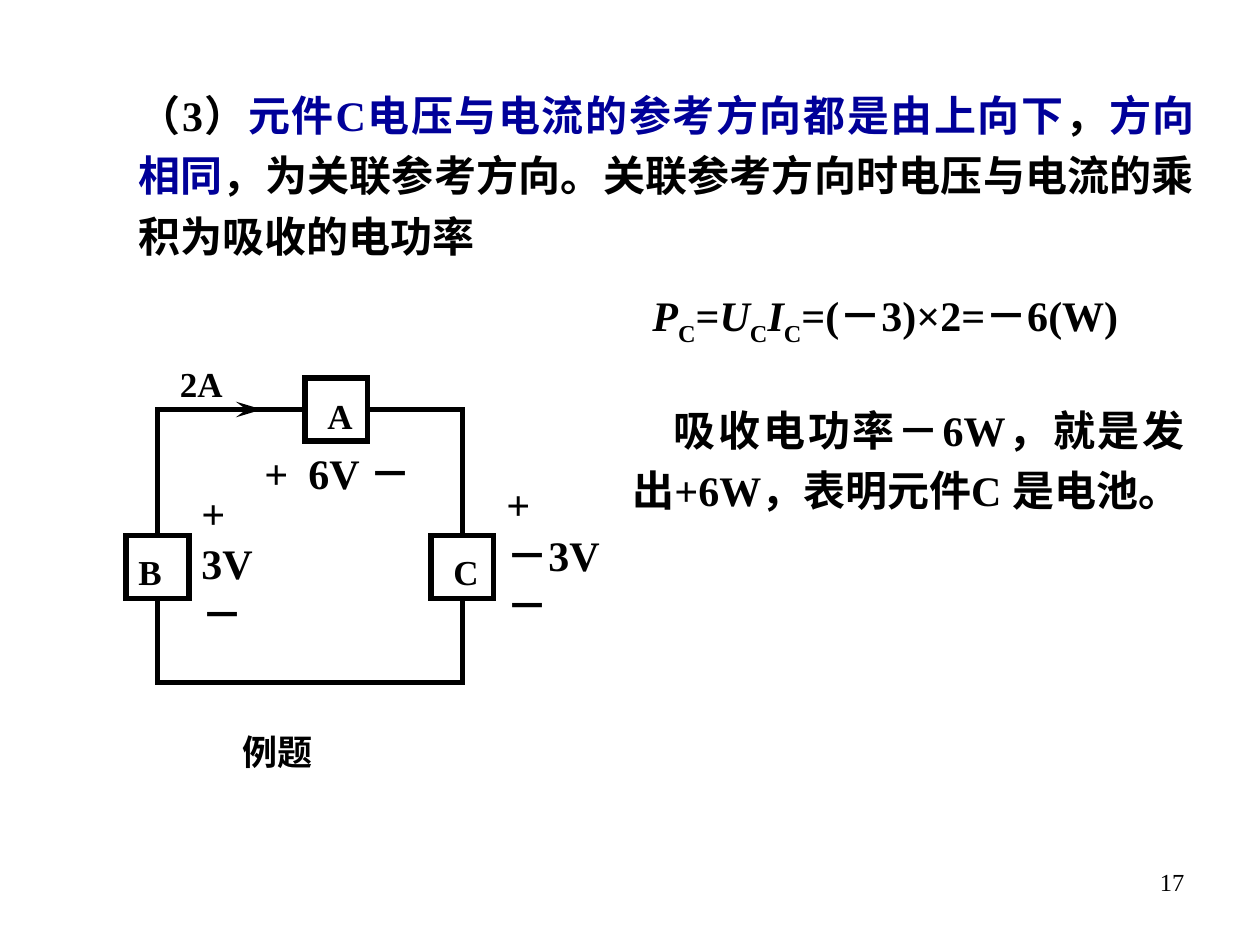
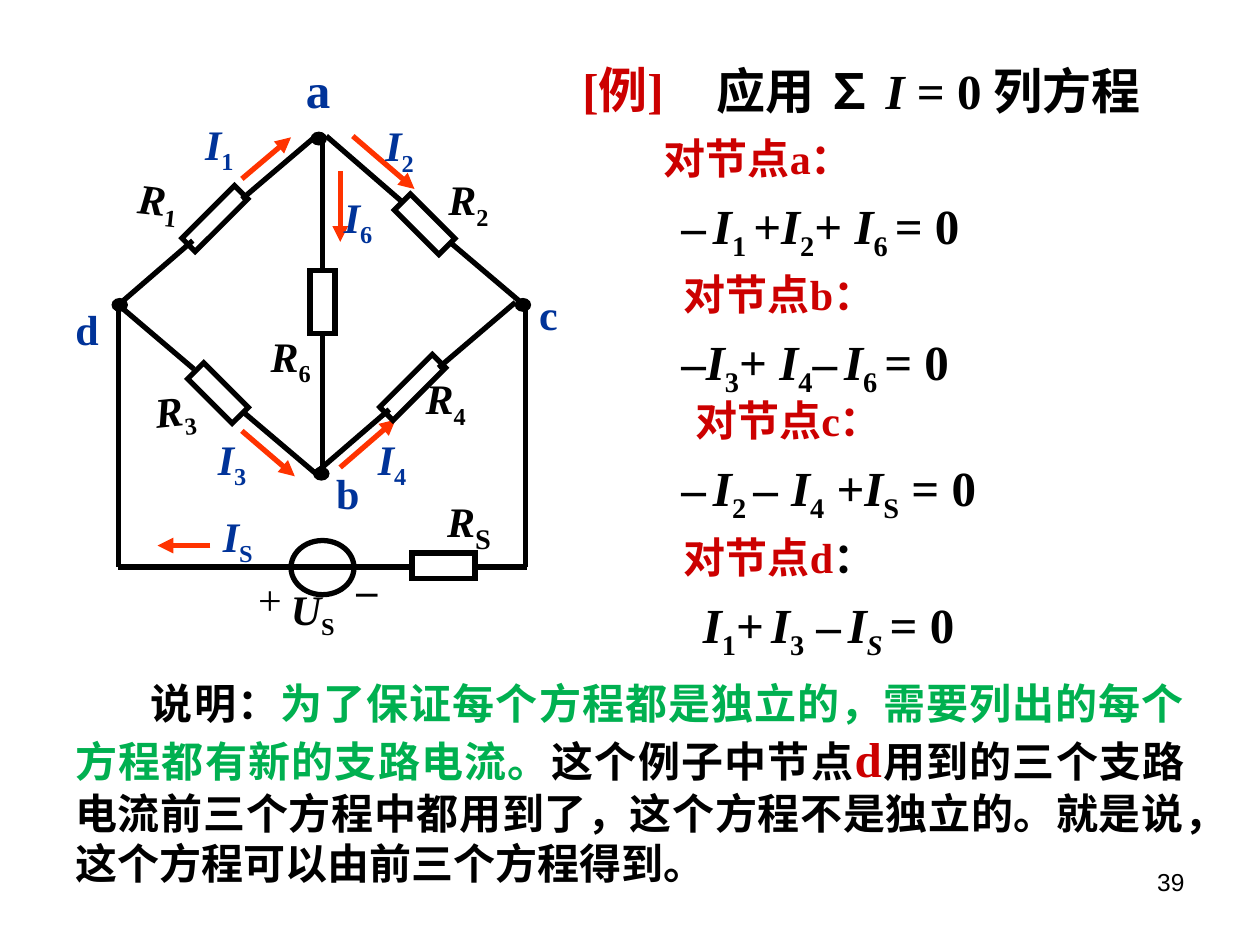
"""Build two lecture slides on circuit power and Kirchhoff's current law."""
from dataclasses import dataclass
from typing import NamedTuple

from lxml import etree
from pptx import Presentation
from pptx.dml.color import RGBColor
from pptx.enum.shapes import MSO_CONNECTOR, MSO_SHAPE
from pptx.enum.text import MSO_ANCHOR, MSO_AUTO_SIZE, PP_ALIGN
from pptx.oxml.ns import qn
from pptx.util import Inches, Pt

STRAIGHT = MSO_CONNECTOR.STRAIGHT
RECTANGLE, OVAL = MSO_SHAPE.RECTANGLE, MSO_SHAPE.OVAL
LEFT, CENTER, RIGHT, JUSTIFY = (
    PP_ALIGN.LEFT, PP_ALIGN.CENTER, PP_ALIGN.RIGHT, PP_ALIGN.JUSTIFY)
MIDDLE = MSO_ANCHOR.MIDDLE
GROW, FIXED = MSO_AUTO_SIZE.SHAPE_TO_FIT_TEXT, MSO_AUTO_SIZE.NONE

COLORS = {
    "black": "000000", "white": "FFFFFF", "navy": "000099", "blue": "003399",
    "red": "CC0000", "green": "00B050", "orange": "FF3300",
}
SERIF = "Times New Roman"
LARGE = 28
LINE_WIDTH = 3
BOX_SIDE = 0.5
DOT_WIDTH, DOT_HEIGHT = 0.12, 0.1


class Span(NamedTuple):
    """A stretch of text with one format."""
    text: str
    color: str
    italic: bool
    subscript: bool
    large: bool


@dataclass(frozen=True)
class Label:
    """A text box; spans are split by | and marked * italic, _ subscript, ^ large, @name: colour."""
    markup: str
    left: float
    top: float
    width: float
    height: float
    size: int = 24
    color: str = "black"
    bold: bool = True
    font: str = SERIF
    align: PP_ALIGN = LEFT
    wrap: bool = True
    grow: bool = True
    middle: bool = False
    spacing: float = 1.0
    indent: float = 0
    tab: float = 0
    rotation: float = 0


class Wire(NamedTuple):
    """A straight line, with an arrowhead at its end when one is named."""
    x1: float
    y1: float
    x2: float
    y2: float
    color: str = "black"
    arrow: str = ""
    arrow_length: str = "med"


class Part(NamedTuple):
    """A circuit component drawn as an outline shape."""
    left: float
    top: float
    width: float
    height: float
    rotation: float = 0
    fill: str = ""
    kind: MSO_SHAPE = RECTANGLE
    line: float = LINE_WIDTH


def rgb(name: str) -> RGBColor:
    """Return the named palette colour."""
    return RGBColor.from_string(COLORS[name])


def read_span(markup: str, color: str) -> Span:
    """Read the marks in front of one span."""
    if markup.startswith("@"):
        color, markup = markup[1:].split(":", 1)
    text = markup.lstrip("*_^")
    marks = markup[:len(markup) - len(text)]
    return Span(text, color, "*" in marks, "_" in marks, "^" in marks)


def write_paragraph(para, markup: str, label: Label) -> None:
    """Write and format one paragraph of a label."""
    para.alignment = label.align
    para.line_spacing = label.spacing
    properties = para._p.get_or_add_pPr()
    if label.indent:
        properties.set("indent", str(Inches(label.indent)))
    if label.tab:
        tabs = etree.SubElement(properties, qn("a:tabLst"))
        etree.SubElement(tabs, qn("a:tab"), pos=str(Inches(label.tab)), algn="l")
    for span in (read_span(part, label.color) for part in markup.split("|")):
        run = para.add_run()
        run.text = span.text
        run.font.name = label.font
        run.font.size = Pt(LARGE if span.large else label.size)
        run.font.bold = label.bold
        run.font.italic = span.italic
        run.font.color.rgb = rgb(span.color)
        if span.subscript:
            run._r.get_or_add_rPr().set("baseline", "-25000")


def fill_label(box, label: Label) -> None:
    """Place a text shape and write its paragraphs."""
    box.left, box.top = Inches(label.left), Inches(label.top)
    box.width, box.height = Inches(label.width), Inches(label.height)
    box.rotation = label.rotation
    frame = box.text_frame
    frame.word_wrap = label.wrap
    frame.auto_size = GROW if label.grow else FIXED
    if label.middle:
        frame.vertical_anchor = MIDDLE
    for index, markup in enumerate(label.markup.split("\n")):
        para = frame.add_paragraph() if index else frame.paragraphs[0]
        write_paragraph(para, markup, label)


def add_label(page, label: Label) -> None:
    """Add a text box for a label."""
    fill_label(page.shapes.add_textbox(0, 0, 0, 0), label)


def add_wire(page, wire: Wire):
    """Add a wire or a current arrow."""
    line = page.shapes.add_connector(
        STRAIGHT, *(Inches(value) for value in wire[:4]))
    line.line.color.rgb = rgb(wire.color)
    line.line.width = Pt(LINE_WIDTH)
    if wire.arrow:
        etree.SubElement(line.line._get_or_add_ln(), qn("a:tailEnd"),
                         type=wire.arrow, len=wire.arrow_length)
    etree.SubElement(line._element.spPr, qn("a:effectLst"))
    return line


def add_part(page, part: Part):
    """Add a circuit component with sharp corners."""
    shape = page.shapes.add_shape(
        part.kind, *(Inches(value) for value in part[:4]))
    shape.rotation = part.rotation
    shape.shadow.inherit = False
    if part.fill:
        shape.fill.solid()
        shape.fill.fore_color.rgb = rgb(part.fill)
    else:
        shape.fill.background()
    shape.line.color.rgb = rgb("black")
    shape.line.width = Pt(part.line)
    etree.SubElement(shape.line._get_or_add_ln(), qn("a:miter"), lim="800000")
    return shape


def add_number(page, number: str, font: str) -> None:
    """Add the page number at the lower right."""
    add_label(page, Label(number, 7.17, 6.83, 2.33, 0.52, 14, bold=False,
                          font=font, align=RIGHT, grow=False))


def build_power_slide(deck) -> None:
    """Build the slide on the power of element C."""
    page = deck.slides.add_slide(deck.slide_layouts[6])
    add_part(page, Part(1.25, 3.25, 2.42, 2.17))
    for left, top in ((1, 4.25), (3.42, 4.25), (2.42, 3)):
        add_part(page, Part(left, top, BOX_SIDE, BOX_SIDE, fill="white"))
    add_wire(page, Wire(1.58, 3.25, 2.08, 3.25, arrow="stealth", arrow_length="lg"))
    for text, left, top, width in (
            ("A", 2.5, 3.08, 0.58), ("B", 1, 4.32, 0.92), ("C", 3.5, 4.32, 0.58),
            ("2A", 1.33, 2.83, 1), ("例题", 1.83, 5.75, 1.33)):
        add_label(page, Label(text, left, top, width, 0.43, 20))
    for label in (
            Label("+\n3V\n－", 1.5, 3.82, 0.83, 1.31),
            Label("+\n－3V\n－", 3.92, 3.75, 1, 1.31),
            Label("+\t6V －", 2, 3.5, 1.83, 0.5, tab=0.35),
            Label("*P|_C|=|*U|_C|*I|_C|=(－3)×2=－6(W)", 5.08, 2.25, 4.33, 0.5),
            Label("吸收电功率－6W，就是发出+6W，表明元件C 是电池。",
                  4.92, 3.08, 4.58, 1.07, align=JUSTIFY, spacing=1.2, indent=0.33),
            Label("（3）|@navy:元件C电压与电流的参考方向都是由上向下|，|@navy:方向相同|"
                  "，为关联参考方向。关联参考方向时电压与电流的乘积为吸收的电功率",
                  1, 0.58, 8.58, 1.56, align=JUSTIFY, spacing=1.2)):
        add_label(page, label)
    add_number(page, "17", SERIF)


def draw_bridge(page) -> None:
    """Draw the bridge circuit with its currents."""
    for wire in (
            Wire(4.17, 2.42, 4.17, 4.5), Wire(0.94, 2.42, 0.94, 4.5),
            Wire(0.94, 4.5, 4.18, 4.5),
            Wire(1.92, 1.58, 2.52, 1.07), Wire(1.53, 1.91, 0.94, 2.42),
            Wire(1.54, 2.93, 0.94, 2.42), Wire(1.93, 3.27, 2.52, 3.77),
            Wire(3.19, 1.6, 2.59, 1.08), Wire(3.58, 1.93, 4.17, 2.43),
            Wire(3.48, 2.92, 4.09, 2.4), Wire(3.09, 3.25, 2.51, 3.75)):
        add_wire(page, wire)
    for x1, y1, x2, y2 in (
            (1.92, 1.42, 2.31, 1.09), (2.8, 1.08, 3.29, 1.5), (2.7, 1.36, 2.7, 1.92),
            (1.92, 3.42, 2.34, 3.78), (2.7, 3.71, 3.14, 3.33), (1.67, 4.33, 1.25, 4.33)):
        add_wire(page, Wire(x1, y1, x2, y2, "orange", "triangle"))
    for part in (
            Part(1.63, 1.44, 0.15, 0.59, 45), Part(3.2, 2.78, 0.15, 0.59, 45),
            Part(1.64, 2.87, 0.18, 0.5, 315), Part(3.28, 1.53, 0.18, 0.5, 315),
            Part(3.27, 4.39, 0.5, 0.2, fill="white"),
            Part(2.31, 4.29, 0.5, 0.43, kind=OVAL)):
        add_part(page, part)
    middle_resistor = add_part(page, Part(2.46, 2.15, 0.2, 0.5))
    add_wire(page, Wire(2.56, 1.08, 2.56, 2.15)).end_connect(middle_resistor, 0)
    add_wire(page, Wire(2.56, 2.65, 2.56, 3.74)).begin_connect(middle_resistor, 2)
    for left, top in ((4.09, 2.37), (2.47, 1.05), (0.89, 2.37), (2.49, 3.71)):
        add_part(page, Part(left, top, DOT_WIDTH, DOT_HEIGHT,
                            fill="black", kind=OVAL, line=0.75))


def label_bridge(page) -> None:
    """Name the nodes, currents, resistors and source of the bridge."""
    add_label(page, Label("a", 2.33, 0.42, 0.4, 0.57, LARGE, "blue", wrap=False))
    for name, left, top in (("b", 2.57, 3.66), ("c", 4.18, 2.24), ("d", 0.5, 2.36)):
        add_label(page, Label(name, left, top, 0.39, 0.51, color="blue", wrap=False))
    for index, left, top in (
            ("1", 1.53, 0.89), ("2", 2.96, 0.9), ("3", 1.63, 3.39),
            ("4", 2.9, 3.39), ("6", 2.63, 1.47), ("S", 1.67, 4)):
        add_label(page, Label(f"*I|_{index}", left, top, 0.45, 0.51,
                              color="blue", wrap=False))
    for index, left, top, rotation in (
            ("1", 1, 1.33, 6.2), ("2", 3.46, 1.33, 0), ("3", 1.13, 3, -6.1),
            ("4", 3.28, 2.91, 0), ("6", 2.05, 2.57, 0)):
        add_label(page, Label(f"*R|_{index}", left, top, 0.54, 0.51,
                              wrap=False, rotation=rotation))
    add_label(page, Label("*R|_^S", 3.45, 3.83, 0.72, 0.57))
    add_label(page, Label("*U|_S", 2.21, 4.58, 0.78, 0.51))
    add_label(page, Label("–", 2.73, 4.42, 0.37, 0.51, wrap=False))
    add_label(page, Label("+", 1.95, 4.5, 0.4, 0.51, bold=False, wrap=False))


def build_node_slide(deck) -> None:
    """Build the slide with the node equations of the bridge circuit."""
    page = deck.slides.add_slide(deck.slide_layouts[5])
    fill_label(page.shapes.title, Label(
        "应用 ∑ |*I| = 0 列方程", 5.33, 0.43, 4.08, 0.57, LARGE,
        align=CENTER, middle=True))
    add_label(page, Label("[例]", 4.13, 0.36, 1.63, 0.81, LARGE, "red",
                          align=CENTER, grow=False, middle=True, spacing=0.7))
    for heading, left, top in (
            ("对节点a：", 5.17, 1), ("对节点b：", 5.33, 2.08),
            ("对节点c：", 5.42, 3.08), ("对节点d|@black:：", 5.33, 4.17)):
        add_label(page, Label(heading, left, top, 2.75, 0.5, color="red"))
    for equation, left, top, tab in (
            ("–|_ |*I|_1 |+|*I|_2|+ |*I|_6 |= 0", 5.31, 1.5, 0),
            ("–|*I|_3|+ |*I|_4|–|_ |*I|_6 |= 0", 5.31, 2.58, 0),
            ("–|_ |*I|_2 |–\t|*I|_4| +|*I|_S| = 0", 5.31, 3.58, 0.87),
            ("*I|_1|+|_ |*I|_3|\t–|_ |*I|*_S |= 0", 5.48, 4.67, 0.9)):
        add_label(page, Label(equation, left, top, 3.75, 0.57, LARGE, tab=tab))
    draw_bridge(page)
    label_bridge(page)
    add_label(page, Label(
        "说明：|@green:为了保证每个方程都是独立的，需要列出的每个方程都有新的支路电流。|"
        "这个例子中节点|@red:^d|用到的三个支路电流前三个方程中都用到了，"
        "这个方程不是独立的。就是说，这个方程可以由前三个方程得到。",
        0.5, 5.33, 9, 1.78, align=JUSTIFY, indent=0.6))
    add_number(page, "39", "Arial")


def main() -> None:
    """Build and save the deck."""
    deck = Presentation()
    deck.slide_width, deck.slide_height = Inches(10), Inches(7.5)
    build_power_slide(deck)
    build_node_slide(deck)
    deck.save("out.pptx")


if __name__ == "__main__":
    main()
